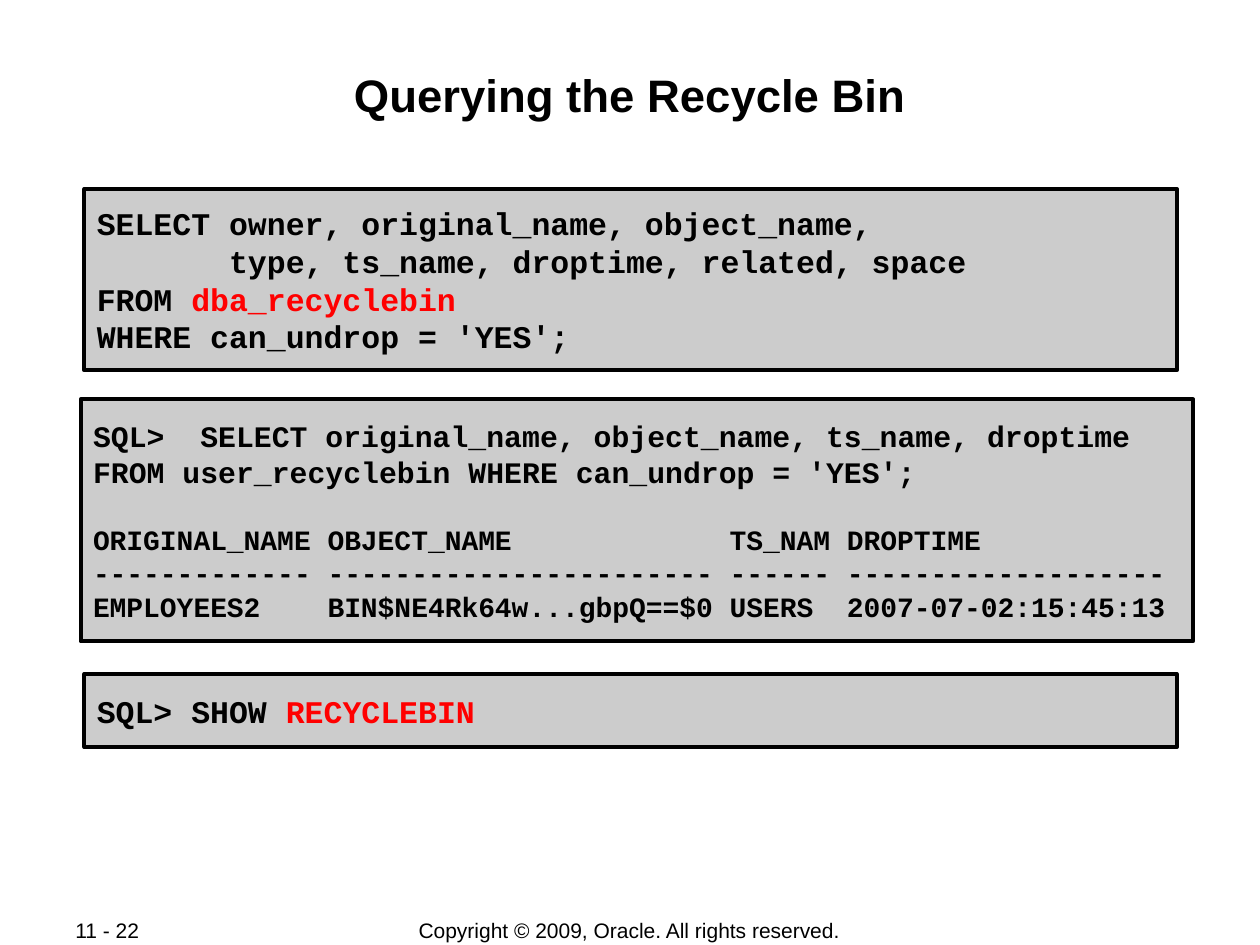
from pptx import Presentation
from pptx.dml.color import RGBColor
from pptx.enum.shapes import MSO_SHAPE
from pptx.enum.text import MSO_ANCHOR, MSO_AUTO_SIZE, PP_ALIGN
from pptx.util import Inches, Pt

BLACK, RED, GREY = "000000", "FF0000", "CCCCCC"
TITLE_ONLY = 5


def colour(hex_value):
    return RGBColor.from_string(hex_value)


def write(paragraph, text, font="Arial", size=12, bold=False, color=BLACK,
          align=PP_ALIGN.LEFT, before=0):
    paragraph.alignment = align
    paragraph.space_before = Pt(before)
    run = paragraph.add_run()
    run.text = text
    run.font.name = font
    run.font.size = Pt(size)
    run.font.bold = bold
    run.font.color.rgb = colour(color)


def set_frame(frame, anchor, side, top, bottom):
    frame.word_wrap = True
    frame.auto_size = MSO_AUTO_SIZE.NONE
    frame.vertical_anchor = anchor
    frame.margin_left = frame.margin_right = Inches(side)
    frame.margin_top, frame.margin_bottom = Inches(top), Inches(bottom)


def place_title(slide, box, text):
    title = slide.shapes.title
    title.left, title.top, title.width, title.height = map(Inches, box)
    set_frame(title.text_frame, MSO_ANCHOR.TOP, 0.01, 0.05, 0.01)
    write(title.text_frame.paragraphs[0], text, size=26, bold=True,
          align=PP_ALIGN.CENTER)


def place_code(slide, box, lines):
    panel = slide.shapes.add_shape(MSO_SHAPE.RECTANGLE, *map(Inches, box))
    panel.shadow.inherit = False
    panel.fill.solid()
    panel.fill.fore_color.rgb = colour(GREY)
    panel.line.color.rgb = colour(BLACK)
    panel.line.width = Pt(2.25)
    frame = panel.text_frame
    set_frame(frame, MSO_ANCHOR.MIDDLE, 0.1, 0.01, 0.01)
    for index, (size, before, parts) in enumerate(lines):
        line = frame.add_paragraph() if index else frame.paragraphs[0]
        for text, color in parts:
            write(line, text, font="Courier New", size=size, bold=True,
                  color=color, before=before)


def place_footer(slide, box, text, align):
    footer = slide.shapes.add_textbox(*map(Inches, box))
    set_frame(footer.text_frame, MSO_ANCHOR.MIDDLE, 0.1, 0.05, 0.05)
    write(footer.text_frame.paragraphs[0], text, align=align)


def main():
    deck = Presentation()
    deck.slide_width, deck.slide_height = Inches(10), Inches(7.5)
    slide = deck.slides.add_slide(deck.slide_layouts[TITLE_ONLY])

    place_footer(slide, (2.75, 7.28, 4.49, 0.21),
                 "Copyright © 2009, Oracle. All rights reserved.",
                 PP_ALIGN.CENTER)
    place_footer(slide, (0.5, 7.28, 1.06, 0.2), "11 - 22", PP_ALIGN.LEFT)
    place_title(slide, (0.67, 0.48, 8.66, 0.96), "Querying the Recycle Bin")

    place_code(slide, (0.67, 1.5, 8.67, 1.44), [
        (18, 0, [("SELECT owner, original_name, object_name,", BLACK)]),
        (18, 0, [("       type, ts_name, droptime, related, space", BLACK)]),
        (18, 0, [("FROM ", BLACK), ("dba_recyclebin", RED)]),
        (18, 0, [("WHERE can_undrop = 'YES';", BLACK)]),
    ])
    place_code(slide, (0.64, 3.17, 8.83, 1.92), [
        (17, 0, [("SQL>  SELECT original_name, object_name, ts_name, droptime "
                  "FROM user_recyclebin WHERE can_undrop = 'YES';", BLACK)]),
        (16, 19, [("ORIGINAL_NAME OBJECT_NAME             TS_NAM DROPTIME",
                   BLACK)]),
        (16, 0, [(" ".join("-" * width for width in (13, 23, 6, 19)), BLACK)]),
        (16, 0, [("EMPLOYEES2    BIN$NE4Rk64w...gbpQ==$0 USERS  "
                  "2007-07-02:15:45:13", BLACK)]),
    ])
    place_code(slide, (0.67, 5.35, 8.67, 0.58), [
        (18, 0, [("SQL> SHOW ", BLACK), ("RECYCLEBIN", RED)]),
    ])
    deck.save("out.pptx")


if __name__ == "__main__":
    main()
